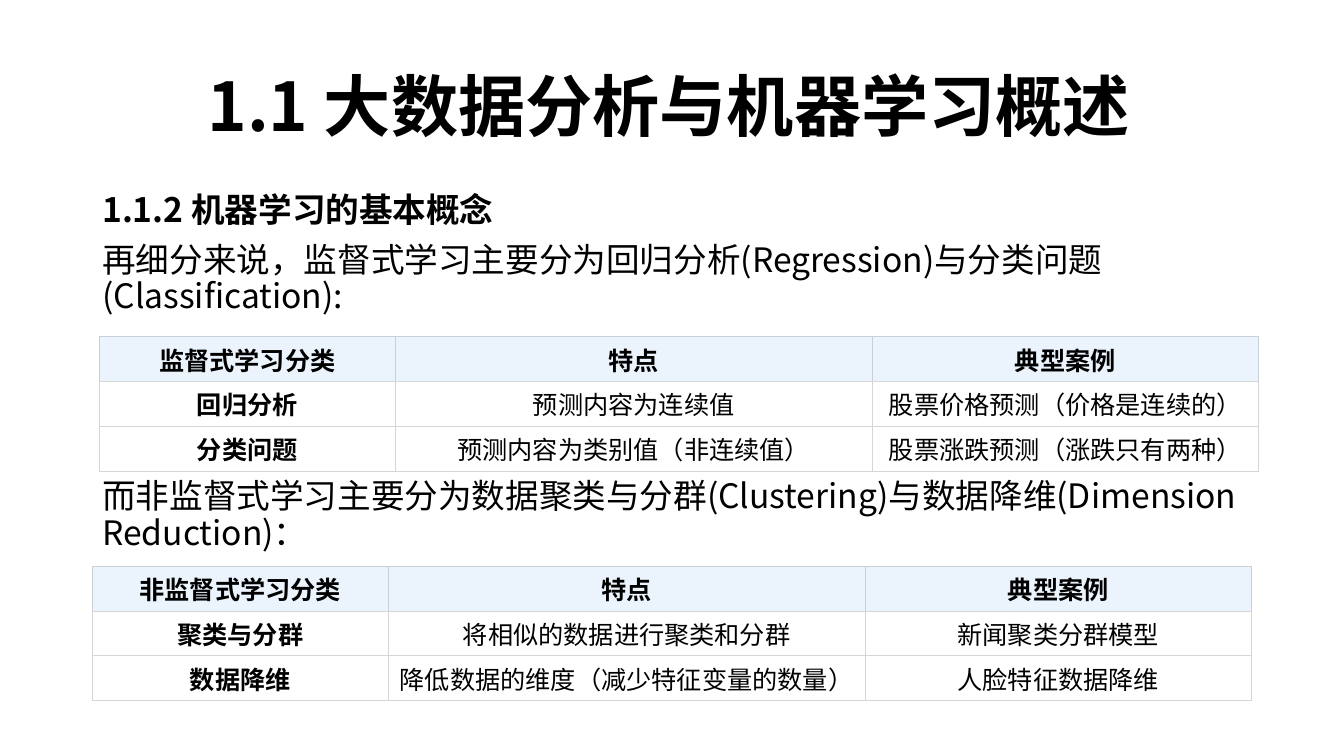
from lxml import etree
from pptx import Presentation
from pptx.dml.color import RGBColor
from pptx.enum.text import MSO_ANCHOR, PP_ALIGN
from pptx.oxml.ns import qn
from pptx.util import Pt

CENTER, LEFT = PP_ALIGN.CENTER, PP_ALIGN.LEFT
TOP, MIDDLE = MSO_ANCHOR.TOP, MSO_ANCHOR.MIDDLE

FONT = "Noto Sans CJK SC"
BLACK, WHITE = "000000", "FFFFFF"
HEADER_FILL, HEADER_LINE, BODY_LINE = "EBF4FC", "C8CFD6", "D6D6D6"

COLUMN_WIDTHS = (211.2, 340.8, 276)
ROW_HEIGHT = 32

SUPERVISED = (
    ("监督式学习分类", "特点", "典型案例"),
    ("回归分析", "预测内容为连续值", "股票价格预测（价格是连续的）"),
    ("分类问题", "预测内容为类别值（非连续值）", "股票涨跌预测（涨跌只有两种）"),
)
UNSUPERVISED = (
    ("非监督式学习分类", "特点", "典型案例"),
    ("聚类与分群", "将相似的数据进行聚类和分群", "新闻聚类分群模型"),
    ("数据降维", "降低数据的维度（减少特征变量的数量）", "人脸特征数据降维"),
)


def color(hex_code):
    return RGBColor.from_string(hex_code)


def write(paragraph, text, size, bold, align):
    paragraph.text = text
    paragraph.alignment = align
    font = paragraph.font
    font.size, font.bold, font.name = Pt(size), bold, FONT
    font.color.rgb = color(BLACK)
    # East Asian typeface follows the Latin one
    defaults = paragraph._p.pPr.find(qn("a:defRPr"))
    etree.SubElement(defaults, qn("a:ea"), typeface=FONT)


def add_text(slide, left, top, width, height, lines, align, anchor):
    """Each line is (text, size, bold, space before)."""
    frame = slide.shapes.add_textbox(Pt(left), Pt(top), Pt(width), Pt(height)).text_frame
    frame.word_wrap = True
    frame.vertical_anchor = anchor
    for index, (text, size, bold, space_before) in enumerate(lines):
        paragraph = frame.add_paragraph() if index else frame.paragraphs[0]
        write(paragraph, text, size, bold, align)
        paragraph.line_spacing = 0.9
        paragraph.space_before = Pt(space_before)


def add_borders(cell, side_colors):
    properties = cell._tc.get_or_add_tcPr()
    for side, hex_code in side_colors.items():
        line = etree.SubElement(properties, qn(f"a:ln{side}"), w=str(Pt(0.75)))
        fill = etree.SubElement(line, qn("a:solidFill"))
        etree.SubElement(fill, qn("a:srgbClr"), val=hex_code)


def add_comparison(slide, left, top, rows, side_margin):
    table = slide.shapes.add_table(
        len(rows), len(COLUMN_WIDTHS), Pt(left), Pt(top),
        Pt(sum(COLUMN_WIDTHS)), Pt(ROW_HEIGHT * len(rows))).table
    table.first_row = table.horz_banding = False
    for column, width in zip(table.columns, COLUMN_WIDTHS):
        column.width = Pt(width)
    for r, row in enumerate(rows):
        table.rows[r].height = Pt(ROW_HEIGHT)
        is_header = r == 0
        line = HEADER_LINE if is_header else BODY_LINE
        for c, text in enumerate(row):
            cell = table.cell(r, c)
            cell.margin_left = cell.margin_right = Pt(side_margin)
            cell.margin_top = cell.margin_bottom = Pt(3)
            write(cell.text_frame.paragraphs[0], text, 18, is_header or c == 0, CENTER)
            add_borders(cell, {"L": line, "R": line, "T": line, "B": BODY_LINE})
            cell.fill.solid()
            cell.fill.fore_color.rgb = color(HEADER_FILL if is_header else WHITE)


def main():
    deck = Presentation()
    deck.slide_width, deck.slide_height = Pt(960), Pt(540)
    slide = deck.slides.add_slide(deck.slide_layouts[6])

    # Chapter title
    add_text(slide, 135, 38, 685.5, 80.5,
             [("1.1 大数据分析与机器学习概述", 48, True, 0)], CENTER, MIDDLE)

    # Section heading and the two introductions, with room for the first table
    add_text(slide, 66, 134.5, 828, 265, [
        ("1.1.2 机器学习的基本概念", 24, True, 0),
        ("再细分来说，监督式学习主要分为回归分析(Regression)与分类问题(Classification):",
         24, False, 10),
        ("而非监督式学习主要分为数据聚类与分群(Clustering)与数据降维(Dimension Reduction)：",
         24, False, 117),
    ], LEFT, TOP)

    # Comparison tables
    add_comparison(slide, 71, 240.5, SUPERVISED, 0)
    add_comparison(slide, 66, 404.5, UNSUPERVISED, 7.2)

    deck.save("out.pptx")


if __name__ == "__main__":
    main()
